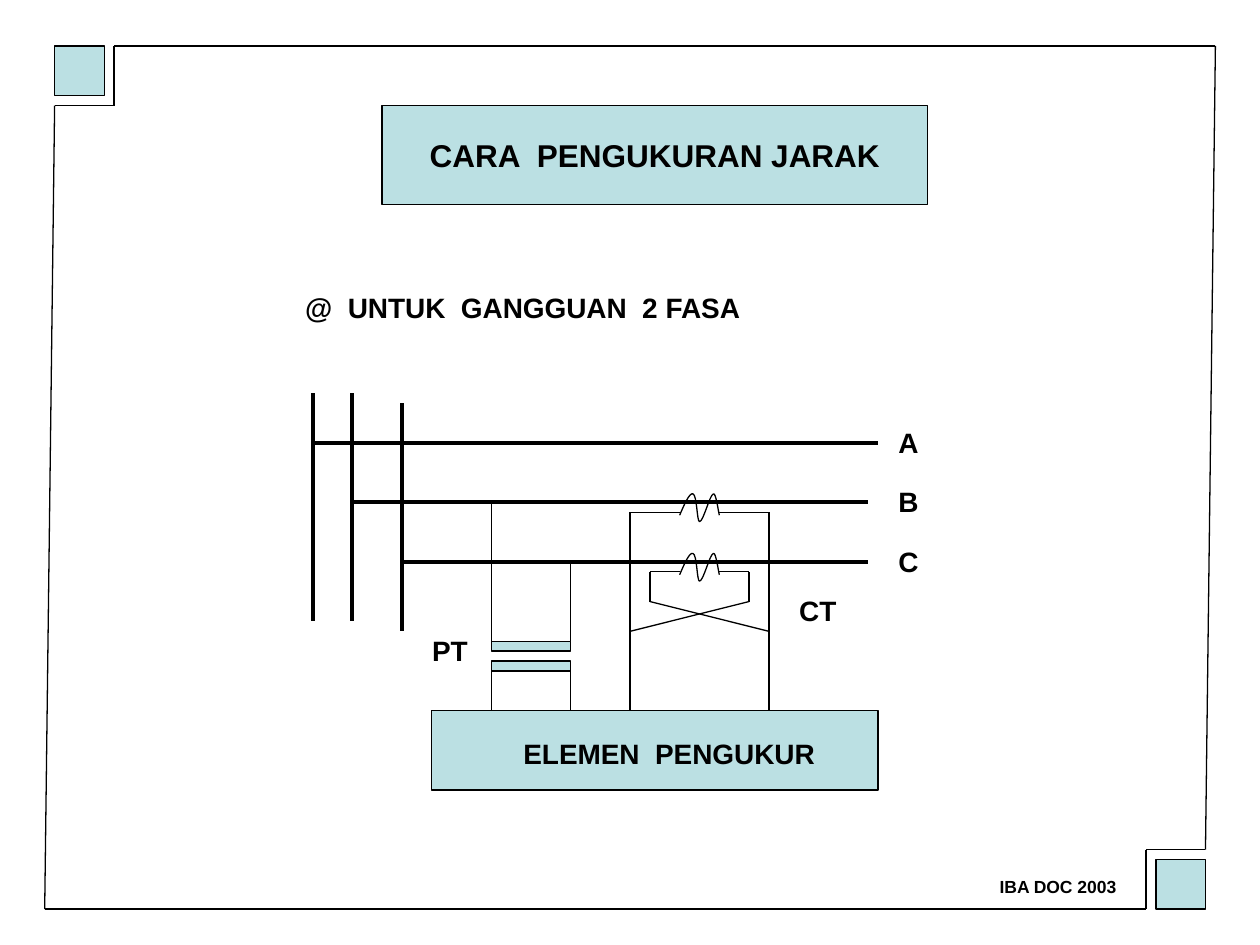
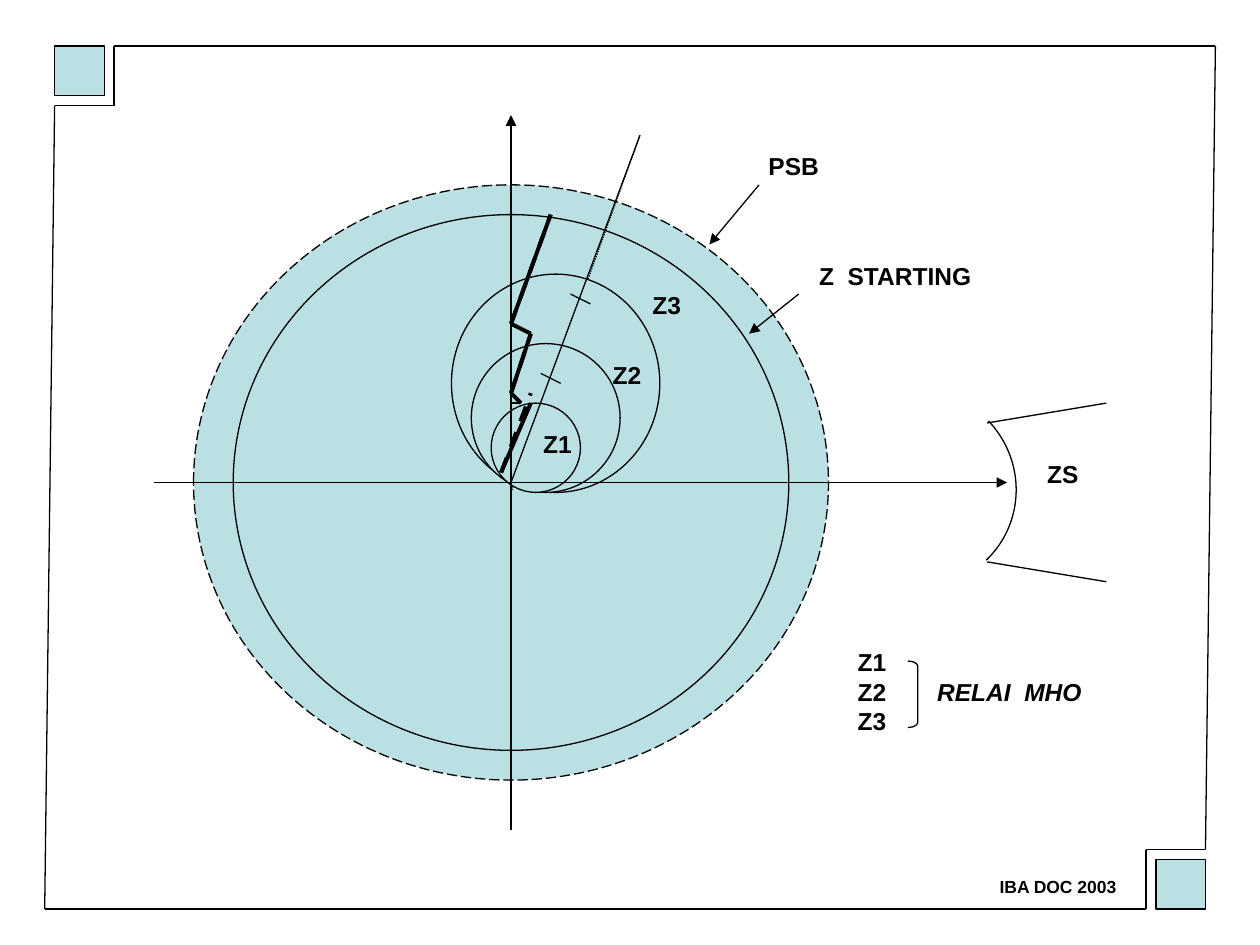
"""Build two slides on distance relays: a two-phase fault circuit and the mho relay zones."""
import lxml.etree
import pptx
import pptx.dml.color
import pptx.enum.dml
import pptx.enum.shapes
import pptx.enum.text
import pptx.oxml.ns
import pptx.util

SHAPE = pptx.enum.shapes.MSO_SHAPE
DASH = pptx.enum.dml.MSO_LINE
TEXT = pptx.enum.text
RGB = pptx.dml.color.RGBColor.from_string

THEME = {
    "ink": RGB("000000"), "fill": RGB("BBE0E3"),
    "font": {"name": "Arial", "bold": True},
    "title": 18, "circuit": 16, "zone": 14, "footer": 10,
    "lines": {
        "thin": {"width": 0.75},
        "bus": {"width": 2.25},
        "dash": {"width": 2.25, "dash_style": DASH.DASH},
        "dots": {"width": 0.75, "dash_style": DASH.ROUND_DOT},
        "rim": {"width": 0.75, "dash_style": DASH.LONG_DASH},
        "arrow": {"width": 0.75},
    },
}
WIDTH, HEIGHT = 10, 7.5
CELL = 2 / 25.4
ORIGIN_X, ORIGIN_Y = 0.04, 0.05

FRAME = [(5, 10, 4, 91), (122, 4, 121, 85), (4, 91, 115, 91), (11, 4, 122, 4),
         (11, 4, 11, 10), (5, 10, 11, 10), (115, 85, 115, 91), (115, 85, 121, 85)]
CORNERS = [(5, 4, 5, 5), (116, 86, 5, 5)]
FOOTER = [(99, 87, 14.4, "IBA DOC 2003")]

TITLE = "CARA  PENGUKURAN JARAK"
TITLE_BOX = (38, 10, 55, 10)
CIRCUIT_LABELS = [
    (51, 73, 32, "ELEMEN  PENGUKUR"), (78.8, 58.6, 6.3, "CT"), (41.8, 62.6, 6.1, "PT"),
    (29, 28, 46.5, "@  UNTUK  GANGGUAN  2 FASA"),
] + [(88.8, 41.6 + 6 * i, 4.6, phase) for i, phase in enumerate("ABC")]
BUSES = [(31, 39, 31, 62), (35, 39, 35, 62), (40, 40, 40, 63),
         (31, 44, 88, 44), (35, 50, 87, 50), (40, 56, 87, 56)]
BUS_STUBS = [(35, 48, 35, 58), (40, 48, 40, 58)]
PT_WIRES = [(49, 50, 49, 65), (57, 56, 57, 65), (49, 67, 49, 75), (57, 66, 57, 75)]
PT_AND_ELEMENT = [(49, 64, 8, 1), (49, 66, 8, 1), (43, 71, 45, 8)]
CT_WIRES = [(63, 51, 68, 51), (72, 51, 77, 51), (63, 51, 63, 71), (77, 51, 77, 71),
            (65, 57, 68, 57), (72, 57, 75, 57), (65, 57, 65, 60), (75, 57, 75, 60),
            (65, 60, 77, 63), (75, 60, 63, 63)]
COILS = [(68, 50), (68, 56)]
COIL_CURVE = [
    ((0, 1.3), (0.5, 0.15), (1, -1), (1.35, -0.85)),
    ((1.35, -0.85), (1.75, -0.7), (1.75, 1.95), (2, 1.95)),
    ((2, 1.95), (2.4, 1.95), (3, -0.7), (3.4, -0.85)),
    ((3.4, -0.85), (3.65, -1), (3.9, 0.9), (4, 1.3)),
]

PSB_ZONE = [(19, 18, 64, 60)]
STARTING_ZONE = [(23, 21, 56, 54)]
MHO_ZONES = [(47, 34, 16, 15), (45, 27, 21, 22), (47, 34, 15, 15), (49, 40, 9, 9)]
UNDER_ZONES = [("arrow", [(51, 83, 51, 11)]), ("dots", [(51, 49, 64, 13)]),
               ("thin", [(53, 37, 55, 37)])]
OVER_ZONES = [
    ("arrow", [(51, 81, 51, 11), (15, 48, 101, 48), (80, 29, 75, 33), (76, 18, 71, 24)]),
    ("thin", [(51, 48, 64, 13), (54, 37, 56, 38), (57, 29, 59, 30), (51, 40, 52, 40),
              (99, 56, 111, 58), (99, 42, 111, 40)]),
    ("dash", [(50, 47, 53, 39), (51, 39, 53, 33), (51, 32, 55, 21)]),
    ("bus", [(51, 32, 53, 33), (51, 39, 52, 40), (55, 21, 51, 32), (53, 33, 51, 39),
             (53, 40, 50, 47)]),
]
SOURCE_ARC = (82, 38.75, 20, 19.7)
BRACKET = (91, 66, 1, 6.7)
ZONE_LABELS = [
    (103.8, 45, 5.7, "ZS"), (64, 28, 5.5, "Z3"), (60, 35, 5.5, "Z2"), (53, 42, 5.5, "Z1"),
    (75.7, 14, 7.6, "PSB"), (80.8, 25, 18, "Z  STARTING"), (84.7, 64, 18.3, "Z1\nZ2\nZ3"),
]
RELAY_LABEL = [(92.7, 67, 17.1, "RELAI  MHO")]


def span(cells):
    return pptx.util.Inches(cells * CELL)


def point(col, row):
    return (pptx.util.Inches(ORIGIN_X + col * CELL),
            pptx.util.Inches(ORIGIN_Y + row * CELL))


def assign(obj, formats):
    for name, value in formats.items():
        setattr(obj, name, value)


def style_line(sp, style):
    sp.line.color.rgb = THEME["ink"]
    for name, value in THEME["lines"][style].items():
        setattr(sp.line, name, pptx.util.Pt(value) if name == "width" else value)


def add_lines(slide, lines, style="thin"):
    qn = pptx.oxml.ns.qn
    for x1, y1, x2, y2 in lines:
        sp = slide.shapes.add_connector(pptx.enum.shapes.MSO_CONNECTOR.STRAIGHT,
                                        *point(x1, y1), *point(x2, y2))
        style_line(sp, style)
        props = sp._element.spPr
        if style == "arrow":
            lxml.etree.SubElement(props.find(qn("a:ln")), qn("a:tailEnd"), type="triangle")
        lxml.etree.SubElement(props, qn("a:effectLst"))


def add_shape(slide, kind, box, style="thin", filled=True):
    col, row, cols, rows = box
    sp = slide.shapes.add_shape(kind, *point(col, row), span(cols), span(rows))
    sp.shadow.inherit = False
    if filled:
        sp.fill.solid()
        sp.fill.fore_color.rgb = THEME["fill"]
    else:
        sp.fill.background()
    style_line(sp, style)
    return sp


def add_shapes(slide, kind, boxes, style="thin"):
    for box in boxes:
        add_shape(slide, kind, box, style)


def write(tf, text, size, italic=False, align=TEXT.PP_ALIGN.LEFT):
    for i, line in enumerate(text.split("\n")):
        p = tf.add_paragraph() if i else tf.paragraphs[0]
        p.alignment = align
        r = p.add_run()
        r.text = line
        assign(r.font, {**THEME["font"], "size": pptx.util.Pt(size), "italic": italic})
        r.font.color.rgb = THEME["ink"]


def add_labels(slide, labels, size, italic=False):
    for col, row, cols, text in labels:
        lines = text.count("\n") + 1
        height = pptx.util.Inches(0.1 + lines * size * 1.2 / 72)
        tf = slide.shapes.add_textbox(*point(col, row), span(cols), height).text_frame
        assign(tf, {"word_wrap": lines > 1,
                    "auto_size": TEXT.MSO_AUTO_SIZE.SHAPE_TO_FIT_TEXT})
        write(tf, text, size, italic)


def add_coil(slide, col, row, steps=8):
    points = []
    for curve in COIL_CURVE:
        for i in range(steps + 1):
            t = i / steps
            weights = ((1 - t) ** 3, 3 * t * (1 - t) ** 2, 3 * t * t * (1 - t), t ** 3)
            dx, dy = (sum(w * c[axis] for w, c in zip(weights, curve)) for axis in (0, 1))
            points.append(point(col + dx, row + dy))
    builder = slide.shapes.build_freeform(*points[0])
    builder.add_line_segments(points[1:], close=False)
    sp = builder.convert_to_shape()
    sp.shadow.inherit = False
    sp.fill.background()
    style_line(sp, "thin")


def new_slide(prs):
    slide = prs.slides.add_slide(prs.slide_layouts[6])
    add_lines(slide, FRAME)
    add_shapes(slide, SHAPE.RECTANGLE, CORNERS)
    add_labels(slide, FOOTER, THEME["footer"])
    return slide


def build_circuit(prs):
    slide = new_slide(prs)
    add_lines(slide, BUS_STUBS + PT_WIRES)
    add_shapes(slide, SHAPE.RECTANGLE, PT_AND_ELEMENT)
    add_lines(slide, BUSES, "bus")
    for col, row in COILS:
        add_coil(slide, col, row)
    add_lines(slide, CT_WIRES)
    add_labels(slide, CIRCUIT_LABELS, THEME["circuit"])
    tf = add_shape(slide, SHAPE.RECTANGLE, TITLE_BOX).text_frame
    assign(tf, {"word_wrap": False, "vertical_anchor": TEXT.MSO_ANCHOR.MIDDLE})
    write(tf, TITLE, THEME["title"], align=TEXT.PP_ALIGN.CENTER)


def build_zones(prs):
    slide = new_slide(prs)
    add_shapes(slide, SHAPE.OVAL, PSB_ZONE, "rim")
    add_shapes(slide, SHAPE.OVAL, STARTING_ZONE)
    for style, lines in UNDER_ZONES:
        add_lines(slide, lines, style)
    add_shapes(slide, SHAPE.OVAL, MHO_ZONES)
    for style, lines in OVER_ZONES:
        add_lines(slide, lines, style)
    add_shape(slide, SHAPE.ARC, SOURCE_ARC, filled=False).rotation = 46.3
    add_shape(slide, SHAPE.RIGHT_BRACKET, BRACKET, filled=False).adjustments[0] = 0.5
    add_labels(slide, ZONE_LABELS, THEME["zone"])
    add_labels(slide, RELAY_LABEL, THEME["zone"], italic=True)


def main():
    prs = pptx.Presentation()
    assign(prs, {"slide_width": pptx.util.Inches(WIDTH),
                 "slide_height": pptx.util.Inches(HEIGHT)})
    build_circuit(prs)
    build_zones(prs)
    prs.save("out.pptx")


if __name__ == "__main__":
    main()
